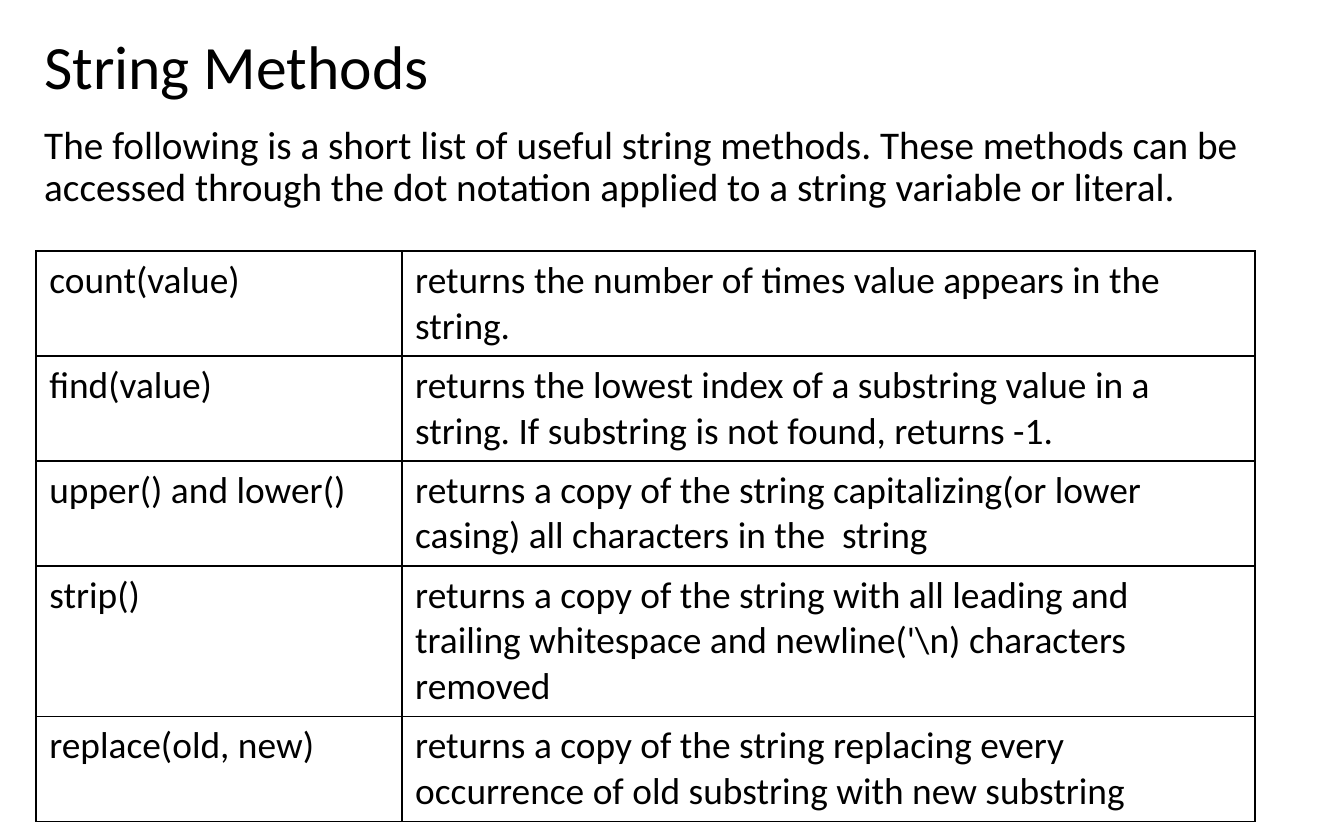
"""Build the String Methods slide: a title, an introduction and a method table."""
from lxml import etree
from pptx import Presentation
from pptx.dml.color import RGBColor
from pptx.enum.text import MSO_ANCHOR, MSO_AUTO_SIZE, PP_ALIGN
from pptx.oxml.ns import qn
from pptx.util import Pt

TOP, MIDDLE = MSO_ANCHOR.TOP, MSO_ANCHOR.MIDDLE
LEFT = PP_ALIGN.LEFT
NO_FIT = MSO_AUTO_SIZE.NONE
BLACK = RGBColor(0x00, 0x00, 0x00)
FONT = "Calibri"

TITLE = "String Methods"
INTRO = (
    "The following is a short list of useful string methods. These methods can be "
    "accessed through the dot notation applied to a string variable or literal."
)
METHODS = [
    ("count(value)", "returns the number of times value appears in the string."),
    ("find(value)", "returns the lowest index of a substring value in a string. "
                    "If substring is not found, returns -1."),
    ("upper() and lower()", "returns a copy of the string capitalizing(or lower casing) "
                            "all characters in the  string"),
    ("strip()", "returns a copy of the string with all leading and trailing whitespace "
                "and newline('\\n) characters removed"),
    ("replace(old, new)", "returns a copy of the string replacing every occurrence "
                          "of old substring with new substring"),
]

TITLE_AREA = (16.5, 10, 555, 54)
INTRO_AREA = (16.5, 63.5, 656, 376.5)
TABLE_LEFT, TABLE_TOP = 19.25, 134.5
COLUMN_WIDTHS = (196, 457)
ROW_HEIGHT = 47.5


def write(para, text, size):
    """Add one formatted run to a paragraph."""
    para.alignment = LEFT
    span = para.add_run()
    span.text = text
    span.font.size = Pt(size)
    span.font.name = FONT
    span.font.color.rgb = BLACK


def fill_placeholder(box, area, text, size, anchor):
    """Place a placeholder and give it one unbulleted paragraph."""
    box.left, box.top, box.width, box.height = map(Pt, area)
    frame = box.text_frame
    frame.word_wrap = True
    frame.auto_size = NO_FIT
    frame.vertical_anchor = anchor
    para = frame.paragraphs[0]
    properties = para._p.get_or_add_pPr()
    properties.set("marL", "0")
    properties.set("indent", "0")
    etree.SubElement(properties, qn("a:buNone"))
    para.line_spacing = 0.9
    para.space_before = Pt(0)
    write(para, text, size)


def add_borders(cell):
    """Draw a thin black line on all four sides of a cell."""
    properties = cell._tc.get_or_add_tcPr()
    for position, side in enumerate(("lnL", "lnR", "lnT", "lnB")):
        line = etree.Element(qn(f"a:{side}"), w=str(Pt(1)))
        fill = etree.SubElement(line, qn("a:solidFill"))
        etree.SubElement(fill, qn("a:srgbClr"), val=str(BLACK))
        properties.insert(position, line)


def add_method_table(slide):
    """Add the bordered table of methods."""
    frame = slide.shapes.add_table(
        len(METHODS), len(COLUMN_WIDTHS), Pt(TABLE_LEFT), Pt(TABLE_TOP),
        Pt(sum(COLUMN_WIDTHS)), Pt(ROW_HEIGHT * len(METHODS)))
    table = frame.table
    table.first_row = False
    table.horz_banding = False
    for column, width in zip(table.columns, COLUMN_WIDTHS):
        column.width = Pt(width)
    for row, texts in zip(table.rows, METHODS):
        row.height = Pt(ROW_HEIGHT)
        for cell, text in zip(row.cells, texts):
            cell.fill.background()
            add_borders(cell)
            write(cell.text_frame.paragraphs[0], text, 20)


def main():
    """Build and save the deck."""
    deck = Presentation()
    deck.slide_width, deck.slide_height = Pt(720), Pt(450)
    slide = deck.slides.add_slide(deck.slide_layouts[1])
    fill_placeholder(slide.shapes.title, TITLE_AREA, TITLE, 33, MIDDLE)
    fill_placeholder(slide.placeholders[1], INTRO_AREA, INTRO, 21, TOP)
    add_method_table(slide)
    deck.save("out.pptx")


if __name__ == "__main__":
    main()
